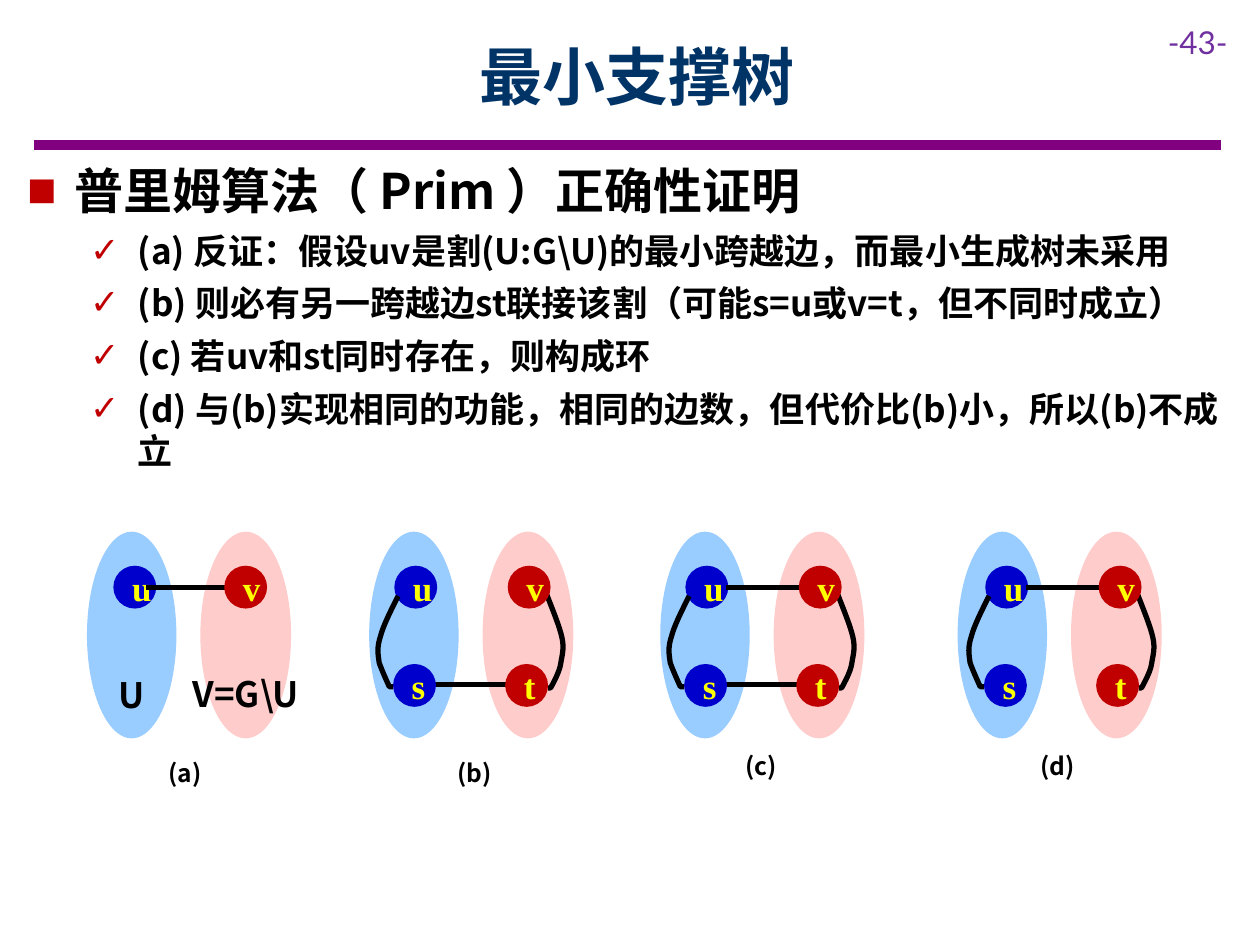
from lxml import etree
from pptx import Presentation
from pptx.dml.color import RGBColor
from pptx.enum import shapes, text
from pptx.oxml import ns

deck = Presentation()
deck.slide_width, deck.slide_height = 9144000, 6858000
unit = deck.slide_width // 100  # grid of 100 columns by 75 rows
slide = deck.slides.add_slide(deck.slide_layouts[1])
pool = slide.shapes
SANS = "Noto Sans CJK SC"


def hue(code):
    return RGBColor.from_string(code)


def style(para, size, code, font=SANS, bold=True):
    for run in para.runs:
        run.font.size = size * 12700
        run.font.bold = bold
        run.font.name = font
        run.font.color.rgb = hue(code)
        east = etree.SubElement(run.font._element, ns.qn("a:ea"))
        east.set("typeface", font)


# Title
title, body = slide.placeholders
title.left, title.top, title.width, title.height = (
    int(v * unit) for v in (9, 0.95, 83.1, 10))
title.text_frame.text = "最小支撑树"
title.text_frame.auto_size = text.MSO_AUTO_SIZE.NONE
title.text_frame.vertical_anchor = text.MSO_ANCHOR.MIDDLE
style(title.text_frame.paragraphs[0], 36, "003366")

# Bulleted list
body.left, body.top, body.width, body.height = (
    int(v * unit) for v in (1.15, 12.2, 96.9, 25.9))
body.text_frame.auto_size = text.MSO_AUTO_SIZE.NONE
body.text_frame.text = "\n".join([
    "普里姆算法（ Prim ）正确性证明",
    "(a) 反证：假设uv是割(U:G\\U)的最小跨越边，而最小生成树未采用",
    "(b) 则必有另一跨越边st联接该割（可能s=u或v=t，但不同时成立）",
    "(c) 若uv和st同时存在，则构成环",
    "(d) 与(b)实现相同的功能，相同的边数，但代价比(b)小，所以(b)不成立",
])
for i, para in enumerate(body.text_frame.paragraphs):
    para.level = min(i, 1)
    para.line_spacing = 1.0
    para.space_before, para.space_after = 0, 6 * 12700
    style(para, 20 if i else 28, "000000")
    prop = para._p.get_or_add_pPr()
    prop.set("marL", str(int((8.8 if i else 3.8) * unit)))
    prop.set("indent", str(int(-3.8 * unit)))
    tint = etree.SubElement(prop, ns.qn("a:buClr"))
    etree.SubElement(tint, ns.qn("a:srgbClr")).set("val", "C00000")
    etree.SubElement(prop, ns.qn("a:buChar")).set("char", "✓" if i else "■")

# Sets U (blue) and G\U (pink) behind each panel, then the parts over them
parts = [("line", 2.7, 11.5, 96.9, 11.5, "800080", 6)]  # rule under title
for x in (6.9, 29.3, 52.4, 76):
    parts += [("oval", x, 42.2, 7.1, 16.4, "99CCFF", ""),
              ("oval", x + 9, 42.2, 7.2, 16.4, "FFCCCC", "")]

# Curves from u to s and from v to t: start, three Bezier triples, end
left = [(0.3, 47.3), (-0.3, 48.5), (-0.9, 49.7), (-1.1, 50.5),
        (-1.4, 51.4), (-1.3, 51.9), (-1.2, 52.6),
        (-1, 53.2), (-0.4, 54.5), (-0.4, 54.5), (-0.1, 54.5)]
right = [(12.1, 47.2), (12.6, 48.5), (13.1, 49.7), (13.3, 50.6),
         (13.5, 51.5), (13.3, 52), (13.2, 52.7),
         (13.1, 53.4), (12.4, 54.6), (12.4, 54.6), (12.2, 54.6)]
blue, red = "0000CC", "C00000"
for x, name in ((9, "a"), (31.3, "b"), (54.4, "c"), (78.2, "d")):
    parts.append(("oval", x, 44.9, 3.4, 3.4, blue, "u"))
    if name in "bc":
        parts.append(("line", x + 2.7, 54.3, x + 9.9, 54.3, "000000", 3))
    if name != "a":
        parts += [("oval", x - 0.1, 52.7, 3.4, 3.4, blue, "s"),
                  ("oval", x + 8.8, 52.7, 3.4, 3.4, red, "t"),
                  ("arc", x, left), ("arc", x, right)]
    if name != "b":
        gap = 2.6 if name == "a" else 3.2
        parts.append(("line", x + gap, 46.6, x + gap + 7.2, 46.6, "000000", 3))
    parts.append(("oval", x + (8.8 if name == "a" else 9), 44.9, 3.4, 3.4, red, "v"))

for kind, *args in parts:
    if kind == "oval":
        *box, code, word = args
        oval = pool.add_shape(shapes.MSO_SHAPE.OVAL, *(int(v * unit) for v in box))
        oval.shadow.inherit = False
        oval.fill.solid()
        oval.fill.fore_color.rgb = hue(code)
        oval.line.fill.background()
        if word:
            frame = oval.text_frame
            frame.text = word
            frame.word_wrap = True
            frame.margin_left = frame.margin_right = unit
            frame.margin_top = frame.margin_bottom = unit
            style(frame.paragraphs[0], 20, "FFFF00", "Times New Roman")
    elif kind == "line":
        *ends, code, size = args
        line = pool.add_connector(shapes.MSO_CONNECTOR.STRAIGHT,
                                  *(int(v * unit) for v in ends))
        line.line.color.rgb = hue(code)
        line.line.width = size * 12700
        etree.SubElement(line._element.spPr, ns.qn("a:effectLst"))
    else:
        x, knots = args
        dots = [(int((x + a) * unit), int(b * unit)) for a, b in knots]
        pen = pool.build_freeform(*dots[0])
        pen.add_line_segments(dots[1:], close=False)
        arc = pen.convert_to_shape()
        arc.shadow.inherit = False
        arc.fill.background()
        arc.line.color.rgb = hue("000000")
        arc.line.width = 3 * 12700
        # Turn each triple of straight steps into one Bezier step
        steps = list(arc._element.iter(ns.qn("a:lnTo")))
        for k in (0, 3, 6):
            bend = etree.Element(ns.qn("a:cubicBezTo"))
            steps[k].addprevious(bend)
            for step in steps[k:k + 3]:
                bend.append(step[0])
                step.getparent().remove(step)

# Set names, panel captions and page number
for word, x, y, w, h, size, code, font in (
        ("U", 8.4, 53, 4.2, 4.4, 20, "000000", SANS),
        ("V=G\\U", 14.3, 52.9, 11.8, 4.4, 20, "000000", SANS),
        ("(a)", 12.4, 59.7, 4.7, 3.4, 14, "000000", SANS),
        ("(b)", 35.3, 59.7, 4.9, 3.4, 14, "000000", SANS),
        ("(c)", 58.2, 59.1, 4.6, 3.4, 14, "000000", SANS),
        ("(d)", 81.6, 59.1, 4.9, 3.4, 14, "000000", SANS),
        ("-43-", 91.7, 1.3, 8.3, 4, 18, "7030A0", "Lato")):
    label = pool.add_textbox(*(int(v * unit) for v in (x, y, w, h)))
    label.text_frame.text = word
    label.text_frame.word_wrap = font == "Lato"
    style(label.text_frame.paragraphs[0], size, code, font, font == SANS)

deck.save("out.pptx")
